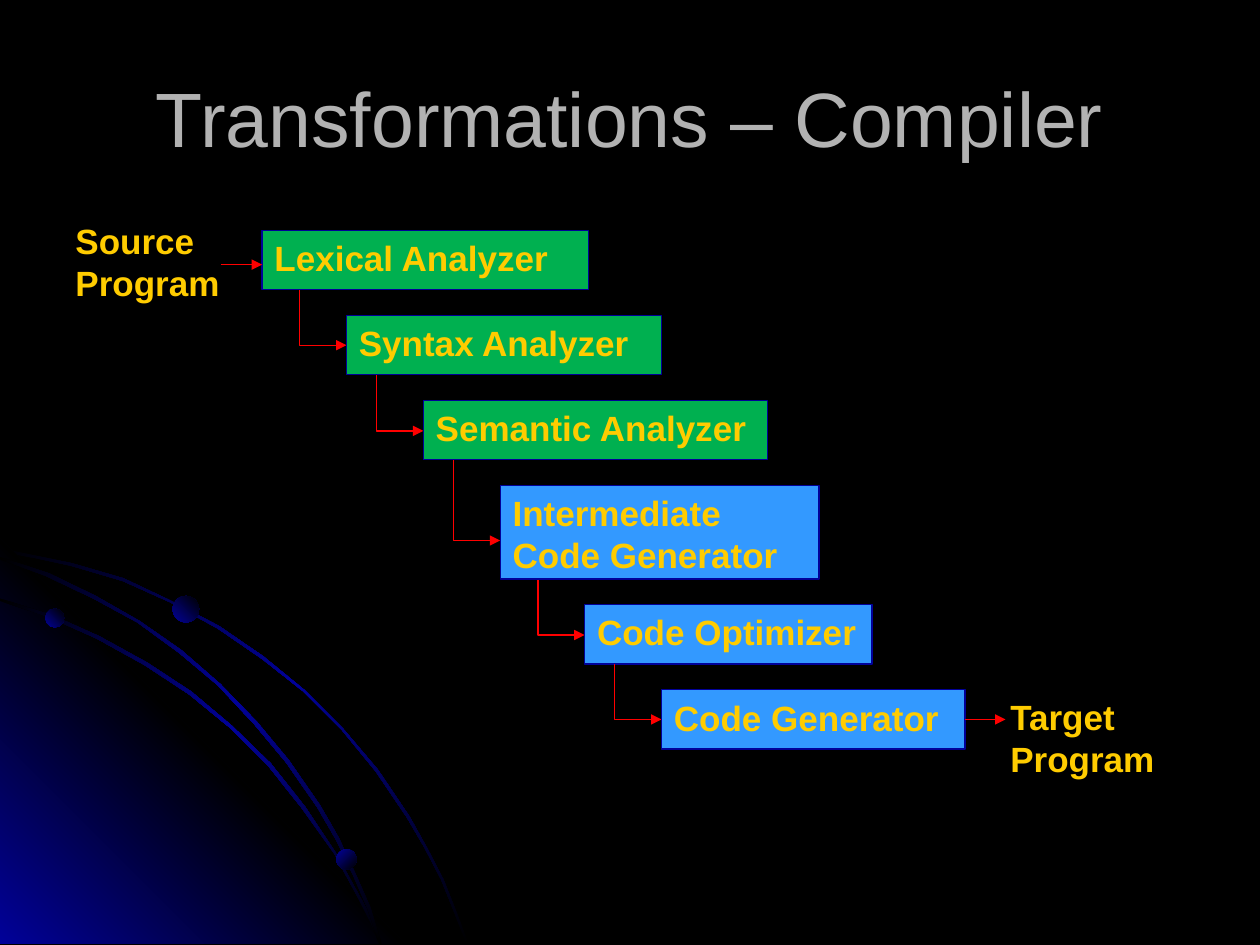
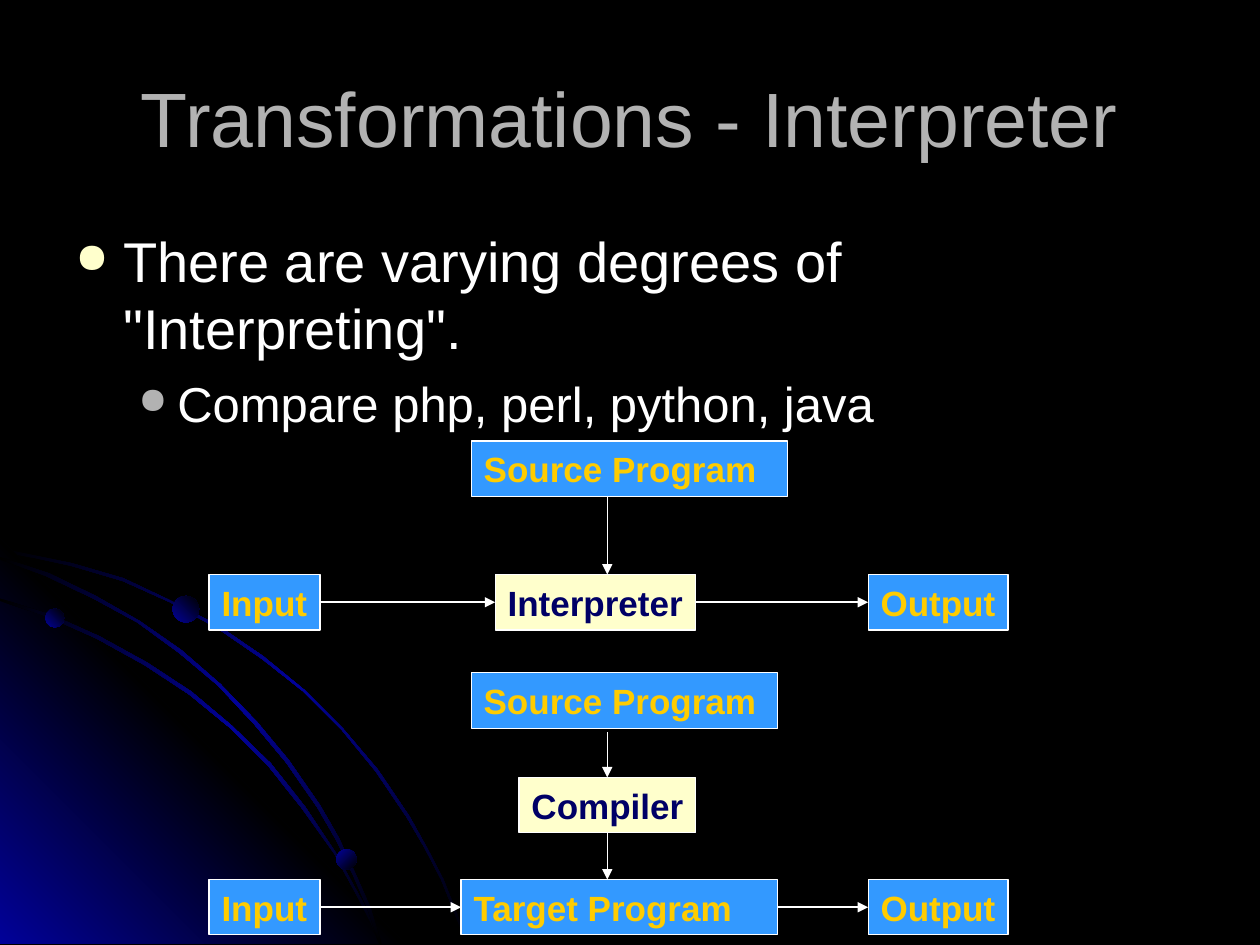
"""Build two slides on how compilers and interpreters transform programs."""
import dataclasses
import typing

import pptx
import pptx.dml.color
import pptx.enum.shapes
import pptx.enum.text
import pptx.oxml
import pptx.oxml.ns
import pptx.util

COLUMNS, ROWS = 1000, 750
CELL = pptx.util.Inches(10) // COLUMNS

BLACK, WHITE, GREY, NAVY = "000000", "FFFFFF", "B2B2B2", "010199"
GOLD, CREAM, INK = "FFCC00", "FFFFCC", "000066"
GREEN, BLUE, RED = "00B050", "3399FF", "FF0000"

LABEL_FONT = {"name": "Arial", "size": pptx.util.Pt(20), "bold": True}
TITLE_FONT = {"name": "Arial", "size": pptx.util.Pt(44)}
TOP, LEFT, BOTTOM, RIGHT = range(4)
SHAPES = pptx.enum.shapes.MSO_SHAPE
ANCHORS = pptx.enum.text.MSO_ANCHOR

Point = tuple[float, float]
GLOW = ((0, BLACK), (50, NAVY), (100, BLACK))
CORNER = ((0, NAVY), (50, BLACK), (100, NAVY))
BALL = ((0, NAVY), (100, BLACK))


@dataclasses.dataclass(frozen=True)
class Area:
    left: float
    top: float
    width: float
    height: float

    def lengths(self) -> list[int]:
        return [round(value * CELL) for value in dataclasses.astuple(self)]


@dataclasses.dataclass(frozen=True)
class Outline:
    points: tuple[Point, ...]
    stops: tuple
    angle: int


@dataclasses.dataclass(frozen=True)
class Dot:
    area: Area
    angle: int


@dataclasses.dataclass(frozen=True)
class Step:
    text: str
    left: float
    width: float
    fill: str
    height: float = 47
    entry: float = 23.5


@dataclasses.dataclass(frozen=True)
class Block:
    text: str
    area: Area
    fill: str = BLUE
    ink: str = GOLD
    wrap: bool = False


class Port(typing.NamedTuple):
    box: typing.Any
    side: int


class Bullet(typing.NamedTuple):
    text: str
    size: int
    indent: float
    hanging: float
    before: int
    mark: str


OUTLINES = (
    Outline(((57, 447), (28, 441), (0, 435), (0, 438), (28, 443), (56, 449), (97, 461),
             (135, 478), (173, 499), (208, 523), (241, 549), (271, 579), (298, 612),
             (323, 649), (337, 673), (350, 698), (360, 723), (370, 749), (372, 749),
             (362, 723), (352, 698), (339, 673), (325, 648), (300, 611), (272, 578),
             (242, 548), (209, 521), (174, 497), (136, 477), (98, 459)), GLOW, 45),
    Outline(((322, 749), (0, 749), (0, 427)), CORNER, 315),
    Outline(((285, 714), (294, 732), (301, 749), (303, 749), (296, 730), (286, 712),
             (266, 676), (242, 640), (215, 606), (184, 576), (152, 549), (117, 526),
             (79, 505), (41, 488), (0, 475), (0, 477), (39, 490), (77, 507),
             (115, 528), (150, 551), (183, 578), (213, 608), (240, 642),
             (265, 677)), GLOW, 45),
    Outline(((0, 442), (0, 444), (36, 457), (74, 475), (109, 494), (142, 518),
             (173, 544), (202, 575), (227, 605), (252, 641), (267, 667), (280, 694),
             (292, 722), (301, 749), (303, 749), (294, 720), (282, 693), (269, 665),
             (254, 639), (229, 603), (204, 573), (175, 543), (144, 516), (111, 493),
             (76, 473), (39, 455)), GLOW, 45),
)
DOTS = (
    Dot(Area(36, 483, 15, 15), 315),
    Dot(Area(267, 674, 16, 16), 45),
    Dot(Area(137, 473, 21, 21), 315),
)
STEPS = (
    Step("Lexical Analyzer", 208, 259, GREEN),
    Step("Syntax Analyzer", 275, 250, GREEN),
    Step("Semantic Analyzer", 336, 273, GREEN),
    Step("Intermediate Code Generator", 397, 253, BLUE, 74, 43.5),
    Step("Code Optimizer", 464, 228, BLUE),
    Step("Code Generator", 525, 241, BLUE),
)
FIRST_STEP_TOP, STEP_GAP, STEP_REACH = 183, 20.5, 37
BULLETS = (
    Bullet('There are varying degrees of "Interpreting".', 32, 38, 38, 8, CREAM),
    Bullet("Compare php, perl, python, java", 28, 81, 31, 7, GREY),
)
FLOW_X, BLOCK_HEIGHT = 482, 44
RUN_TOP, TARGET_TOP = 456, 698
BLOCKS = {
    "interpreted source": Block("Source Program", Area(374, 350, 251, BLOCK_HEIGHT), wrap=True),
    "compiled source": Block("Source Program", Area(374, 534, 243, BLOCK_HEIGHT), wrap=True),
    "compiler": Block("Compiler", Area(412, 617, 140, BLOCK_HEIGHT), CREAM, INK),
    "interpreter": Block("Interpreter", Area(393, RUN_TOP, 159, BLOCK_HEIGHT), CREAM, INK),
    "target": Block("Target Program", Area(366, TARGET_TOP, 251, BLOCK_HEIGHT), wrap=True),
}


def colour(code: str) -> pptx.dml.color.RGBColor:
    return pptx.dml.color.RGBColor.from_string(code)


def apply(target: typing.Any, values: dict) -> None:
    for name, value in values.items():
        setattr(target, name, value)


def blend(shape: typing.Any, stops: tuple, angle: int) -> None:
    shape.fill.background()
    marks = "".join(f'<a:gs pos="{place * 1000}"><a:srgbClr val="{colour(code)}"/></a:gs>'
                    for place, code in stops)
    gradient = pptx.oxml.parse_xml(
        f'<a:gradFill {pptx.oxml.ns.nsdecls("a")} rotWithShape="1"><a:gsLst>{marks}</a:gsLst>'
        f'<a:lin ang="{angle * 60000}" scaled="1"/></a:gradFill>')
    properties = shape.element.spPr
    properties.replace(properties.find(pptx.oxml.ns.qn("a:noFill")), gradient)
    shape.line.fill.background()
    shape.shadow.inherit = False


def stroke(shape: typing.Any, code: str, weight: float, arrow: bool = False) -> None:
    shape.line.color.rgb = colour(code)
    shape.line.width = pptx.util.Pt(weight)
    if arrow:
        shape.element.spPr.find(pptx.oxml.ns.qn("a:ln")).append(pptx.oxml.parse_xml(
            f'<a:tailEnd {pptx.oxml.ns.nsdecls("a")} type="triangle"/>'))


def write(para: typing.Any, text: str, font: dict, ink: str) -> None:
    span = para.add_run()
    span.text = text
    apply(span.font, font)
    span.font.color.rgb = colour(ink)


def add_text(page: typing.Any, area: Area) -> typing.Any:
    box = page.shapes.add_textbox(*area.lengths())
    box.text_frame.word_wrap = True
    return box


def add_box(page: typing.Any, block: Block, edge: str, anchor: typing.Any) -> typing.Any:
    box = page.shapes.add_shape(SHAPES.RECTANGLE, *block.area.lengths())
    box.shadow.inherit = False
    box.fill.solid()
    box.fill.fore_color.rgb = colour(block.fill)
    stroke(box, edge, 0.75)
    apply(box.text_frame, {"word_wrap": block.wrap, "vertical_anchor": anchor})
    para = box.text_frame.paragraphs[0]
    para.alignment = pptx.enum.text.PP_ALIGN.LEFT
    write(para, block.text, LABEL_FONT, block.ink)
    return box


def add_outline(page: typing.Any, points: typing.Sequence[Point], closed: bool) -> typing.Any:
    builder = page.shapes.build_freeform(*points[0], scale=CELL)
    builder.add_line_segments(points[1:], close=closed)
    shape = builder.convert_to_shape()
    shape.shadow.inherit = False
    return shape


def add_arrow(page: typing.Any, start: Port | Point, end: Port | Point,
              code: str, weight: float = 0.75) -> None:
    places = [0 if isinstance(spot, Port) else round(value * CELL)
              for spot in (start, end) for value in spot]
    line = page.shapes.add_connector(pptx.enum.shapes.MSO_CONNECTOR.STRAIGHT, *places)
    for spot, join in ((start, line.begin_connect), (end, line.end_connect)):
        if isinstance(spot, Port):
            join(*spot)
    stroke(line, code, weight, arrow=True)
    line.element.spPr.append(pptx.oxml.parse_xml(
        f'<a:effectLst {pptx.oxml.ns.nsdecls("a")}/>'))


def add_page(deck: typing.Any, title: str) -> typing.Any:
    page = deck.slides.add_slide(deck.slide_layouts[6])
    page.background.fill.solid()
    page.background.fill.fore_color.rgb = colour(BLACK)
    for outline in OUTLINES:
        blend(add_outline(page, outline.points, True), outline.stops, outline.angle)
    for dot in DOTS:
        blend(page.shapes.add_shape(SHAPES.OVAL, *dot.area.lengths()), BALL, dot.angle)
    frame = add_text(page, Area(50, 30, 900, 125)).text_frame
    frame.vertical_anchor = ANCHORS.MIDDLE
    para = frame.paragraphs[0]
    para.alignment = pptx.enum.text.PP_ALIGN.CENTER
    write(para, title, TITLE_FONT, GREY)
    return page


def add_bullets(page: typing.Any, area: Area) -> None:
    frame = add_text(page, area).text_frame
    for index, bullet in enumerate(BULLETS):
        para = frame.add_paragraph() if index else frame.paragraphs[0]
        apply(para, {"level": index, "space_before": pptx.util.Pt(bullet.before)})
        write(para, bullet.text, {"name": "Arial", "size": pptx.util.Pt(bullet.size)}, WHITE)
        properties = para._p.get_or_add_pPr()
        properties.set("marL", str(bullet.indent * CELL))
        properties.set("indent", str(-bullet.hanging * CELL))
        for tag in (f'buClr {{}}><a:srgbClr val="{colour(bullet.mark)}"/></a:buClr>',
                    'buSzPct {} val="75000"/>', 'buChar {} char="●"/>'):
            properties.append(pptx.oxml.parse_xml(
                "<a:" + tag.format(pptx.oxml.ns.nsdecls("a"))))


def build_compiler(deck: typing.Any) -> None:
    page = add_page(deck, "Transformations – Compiler")
    for text, area in (("Source Program", Area(50, 169, 189, 40)),
                       ("Target Program", Area(792, 547, 156, 119))):
        write(add_text(page, area).text_frame.paragraphs[0], text, LABEL_FONT, GOLD)
    top, box = FIRST_STEP_TOP, None
    for step in STEPS:
        if box is not None:
            turn, middle = step.left - STEP_REACH, top + step.entry
            elbow = add_outline(page, ((turn, top - STEP_GAP), (turn, middle),
                                       (step.left, middle)), False)
            elbow.fill.background()
            stroke(elbow, RED, 0.75, arrow=True)
        area = Area(step.left, top, step.width, step.height)
        box = add_box(page, Block(step.text, area, step.fill, wrap=True), NAVY, ANCHORS.TOP)
        top += step.height + STEP_GAP
    add_arrow(page, (175, 210), (208, 210), RED)
    add_arrow(page, Port(box, RIGHT), (798, 571), RED)


def build_interpreter(deck: typing.Any) -> None:
    page = add_page(deck, "Transformations - Interpreter")
    add_bullets(page, Area(50, 175, 900, 495))
    boxes = {name: add_box(page, block, WHITE, ANCHORS.MIDDLE)
             for name, block in BLOCKS.items()}
    for name, top in (("interpreter", RUN_TOP), ("target", TARGET_TOP)):
        source, result = (
            add_box(page, Block(text, Area(left, top, width, BLOCK_HEIGHT)), WHITE, ANCHORS.MIDDLE)
            for text, left, width in (("Input", 166, 88), ("Output", 689, 111)))
        add_arrow(page, Port(source, RIGHT), Port(boxes[name], LEFT), WHITE, 1)
        add_arrow(page, Port(boxes[name], RIGHT), Port(result, LEFT), WHITE, 1)
    add_arrow(page, (FLOW_X, 394), (FLOW_X, RUN_TOP), WHITE)
    add_arrow(page, (FLOW_X, 581), Port(boxes["compiler"], TOP), WHITE)
    add_arrow(page, Port(boxes["compiler"], BOTTOM), (FLOW_X, TARGET_TOP), WHITE)


def main() -> None:
    deck = pptx.Presentation()
    apply(deck, {"slide_width": COLUMNS * CELL, "slide_height": ROWS * CELL})
    build_compiler(deck)
    build_interpreter(deck)
    deck.save("out.pptx")


if __name__ == "__main__":
    main()
